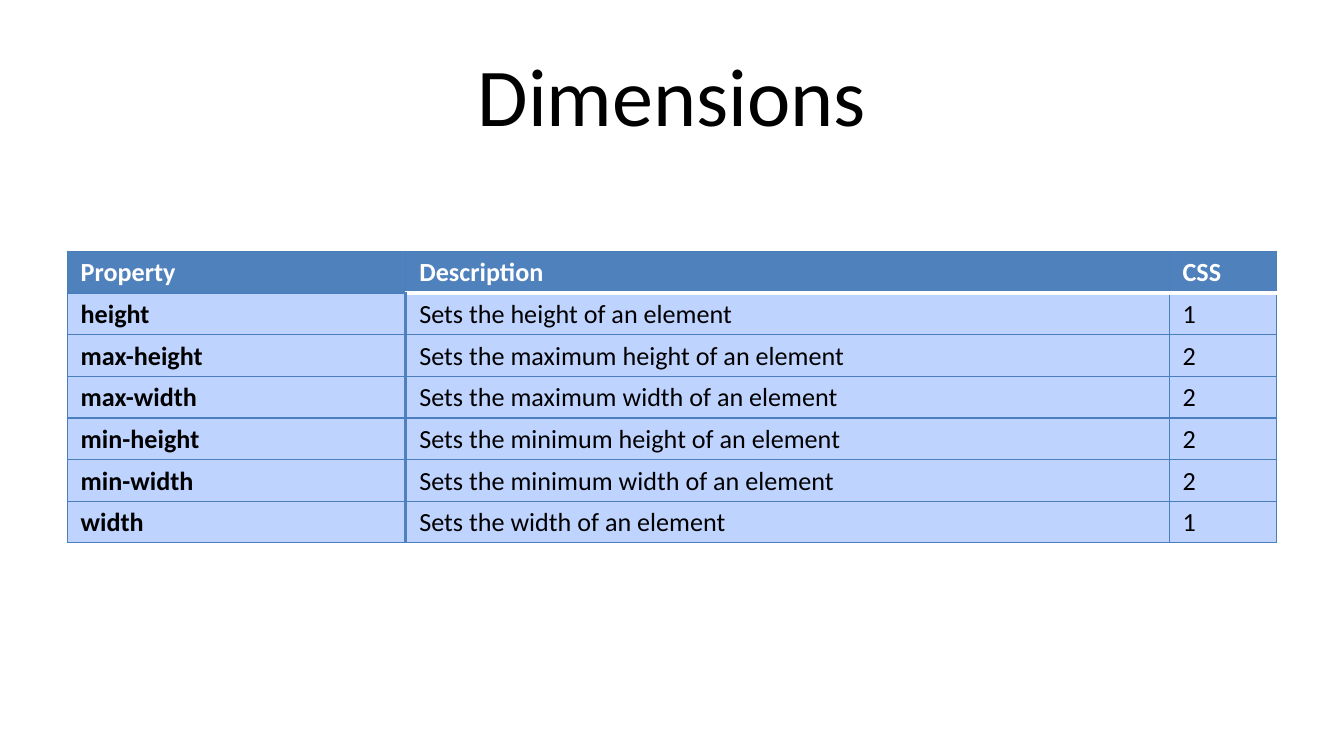
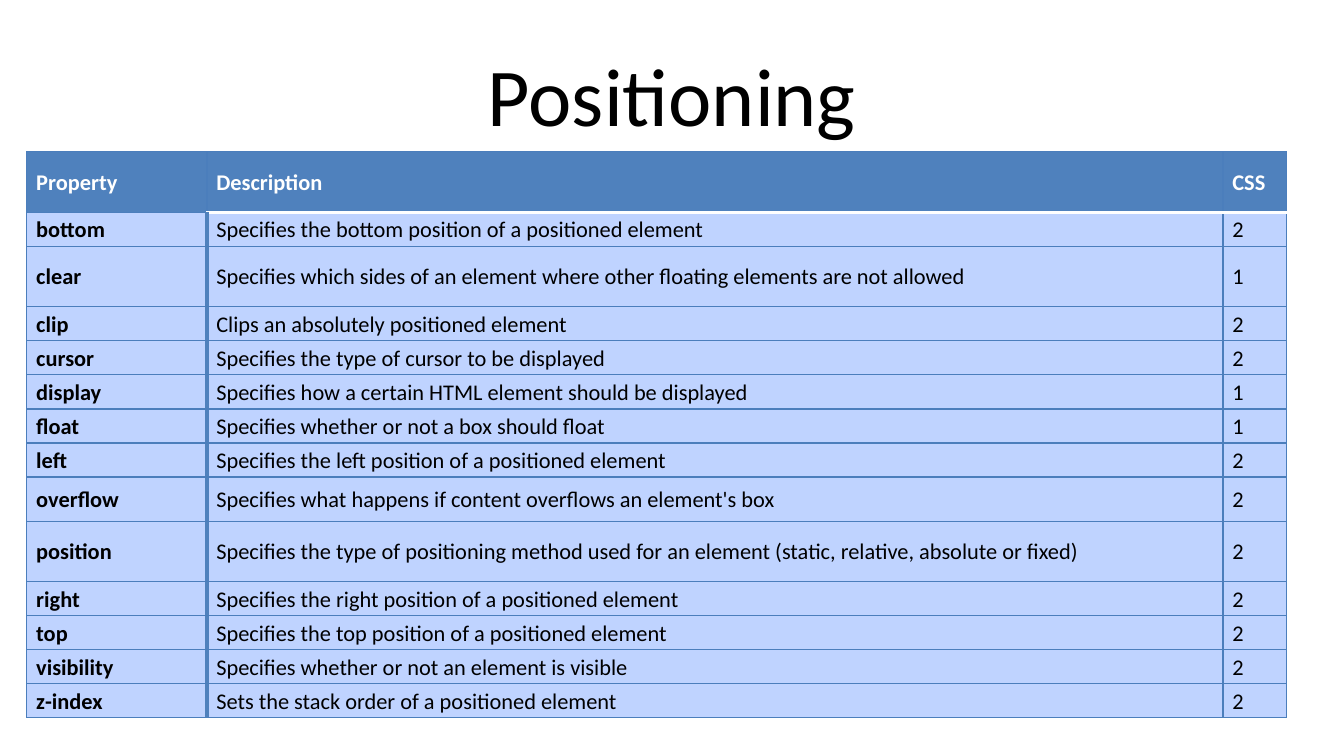
from dataclasses import dataclass

from lxml.etree import SubElement
from pptx import Presentation
from pptx.dml.color import RGBColor
from pptx.enum.text import MSO_ANCHOR, PP_ALIGN
from pptx.oxml.ns import qn
from pptx.util import Inches, Pt

FONT = "Calibri"
PAGE_WIDTH = 10
PAGE_HEIGHT = PAGE_WIDTH * 9 / 16
COLORS = {
    "text": "000000",
    "header": "4F81BD",
    "header_text": "FFFFFF",
    "body": "BFD3FF",
    "grid": "4B7EBC",
    "page": "FFFFFF",
}
HEADINGS = ("Property", "Description", "CSS")


@dataclass(frozen=True)
class Line:
    color: str
    width: float


GRID = Line("grid", 0.75)
HEADER_RULE = Line("page", 2)
PROPERTY_RULE = Line("header", 2)


@dataclass(frozen=True)
class PropertyTable:
    title: str
    left: float
    top: float
    columns: tuple[float, ...]
    row_height: float
    tall_rows: dict[int, float]
    size: int
    side_inset: float
    top_inset: float
    bottom_inset: float
    entries: tuple[tuple[str, str, str], ...]


TABLES = (
    PropertyTable(
        title="Dimensions",
        left=0.5, top=1.87, columns=(2.52, 5.68, 0.8),
        row_height=0.31, tall_rows={},
        size=14, side_inset=0.1, top_inset=0.04, bottom_inset=0.03,
        entries=(
            ("height", "Sets the height of an element", "1"),
            ("max-height", "Sets the maximum height of an element", "2"),
            ("max-width", "Sets the maximum width of an element", "2"),
            ("min-height", "Sets the minimum height of an element", "2"),
            ("min-width", "Sets the minimum width of an element", "2"),
            ("width", "Sets the width of an element", "1"),
        ),
    ),
    PropertyTable(
        title="Positioning",
        left=0.2, top=1.13, columns=(1.34, 7.56, 0.47),
        row_height=0.25, tall_rows={0: 0.45, 2: 0.45, 8: 0.33, 9: 0.45},
        size=12, side_inset=0.07, top_inset=0.03, bottom_inset=0.02,
        entries=(
            ("bottom", "Specifies the bottom position of a positioned element", "2"),
            ("clear", "Specifies which sides of an element where other floating "
                      "elements are not allowed", "1"),
            ("clip", "Clips an absolutely positioned element", "2"),
            ("cursor", "Specifies the type of cursor to be displayed", "2"),
            ("display", "Specifies how a certain HTML element should be displayed", "1"),
            ("float", "Specifies whether or not a box should float", "1"),
            ("left", "Specifies the left position of a positioned element", "2"),
            ("overflow", "Specifies what happens if content overflows an element's box", "2"),
            ("position", "Specifies the type of positioning method used for an element "
                         "(static, relative, absolute or fixed)", "2"),
            ("right", "Specifies the right position of a positioned element", "2"),
            ("top", "Specifies the top position of a positioned element", "2"),
            ("visibility", "Specifies whether or not an element is visible", "2"),
            ("z-index", "Sets the stack order of a positioned element", "2"),
        ),
    ),
)


def rgb(name: str) -> RGBColor:
    return RGBColor.from_string(COLORS[name])


def add_span(para, text: str, size: int, color: str, bold: bool = False) -> None:
    span = para.add_run()
    span.text = text
    span.font.name = FONT
    span.font.size = Pt(size)
    span.font.bold = bold
    span.font.color.rgb = rgb(color)


def set_title(page, text: str) -> None:
    box = page.shapes.title
    box.left, box.top = Inches(0.5), Inches(0.23)
    box.width, box.height = Inches(9), Inches(0.94)
    box.text_frame.vertical_anchor = MSO_ANCHOR.MIDDLE
    para = box.text_frame.paragraphs[0]
    para.alignment = PP_ALIGN.CENTER
    add_span(para, text, 44, "text")


def cell_borders(row: int, column: int) -> dict[str, Line]:
    borders = dict.fromkeys(("L", "R", "T", "B"), GRID)
    if row == 0 and column > 0:
        borders["B"] = HEADER_RULE
    if row == 1 and column > 0:
        borders["T"] = HEADER_RULE
    if row > 0 and column == 0:
        borders["R"] = PROPERTY_RULE
    if row > 0 and column == 1:
        borders["L"] = PROPERTY_RULE
    return borders


def draw_borders(cell, borders: dict[str, Line]) -> None:
    properties = cell._tc.get_or_add_tcPr()
    for side, line in borders.items():
        edge = SubElement(properties, qn(f"a:ln{side}"), w=str(Pt(line.width)))
        fill = SubElement(edge, qn("a:solidFill"))
        SubElement(fill, qn("a:srgbClr"), val=COLORS[line.color])


def add_property_table(page, content: PropertyTable) -> None:
    rows = (HEADINGS, *content.entries)
    heights = [content.tall_rows.get(index, content.row_height) for index in range(len(rows))]
    table = page.shapes.add_table(
        len(rows), len(HEADINGS), Inches(content.left), Inches(content.top),
        Inches(sum(content.columns)), Inches(sum(heights)),
    ).table
    table.horz_banding = False
    for column, width in zip(table.columns, content.columns):
        column.width = Inches(width)
    for row, height in zip(table.rows, heights):
        row.height = Inches(height)
    for row_index, texts in enumerate(rows):
        is_header = row_index == 0
        for column_index, text in enumerate(texts):
            cell = table.cell(row_index, column_index)
            draw_borders(cell, cell_borders(row_index, column_index))
            cell.fill.solid()
            cell.fill.fore_color.rgb = rgb("header" if is_header else "body")
            cell.vertical_anchor = MSO_ANCHOR.MIDDLE
            cell.margin_left = cell.margin_right = Inches(content.side_inset)
            cell.margin_top = Inches(content.top_inset)
            cell.margin_bottom = Inches(content.bottom_inset)
            add_span(
                cell.text_frame.paragraphs[0], text, content.size,
                "header_text" if is_header else "text",
                bold=is_header or column_index == 0,
            )


deck = Presentation()
deck.slide_width, deck.slide_height = Inches(PAGE_WIDTH), Inches(PAGE_HEIGHT)
title_only = deck.slide_layouts.get_by_name("Title Only")
for content in TABLES:
    page = deck.slides.add_slide(title_only)
    page.background.fill.solid()
    page.background.fill.fore_color.rgb = rgb("page")
    set_title(page, content.title)
    add_property_table(page, content)
deck.save("out.pptx")
